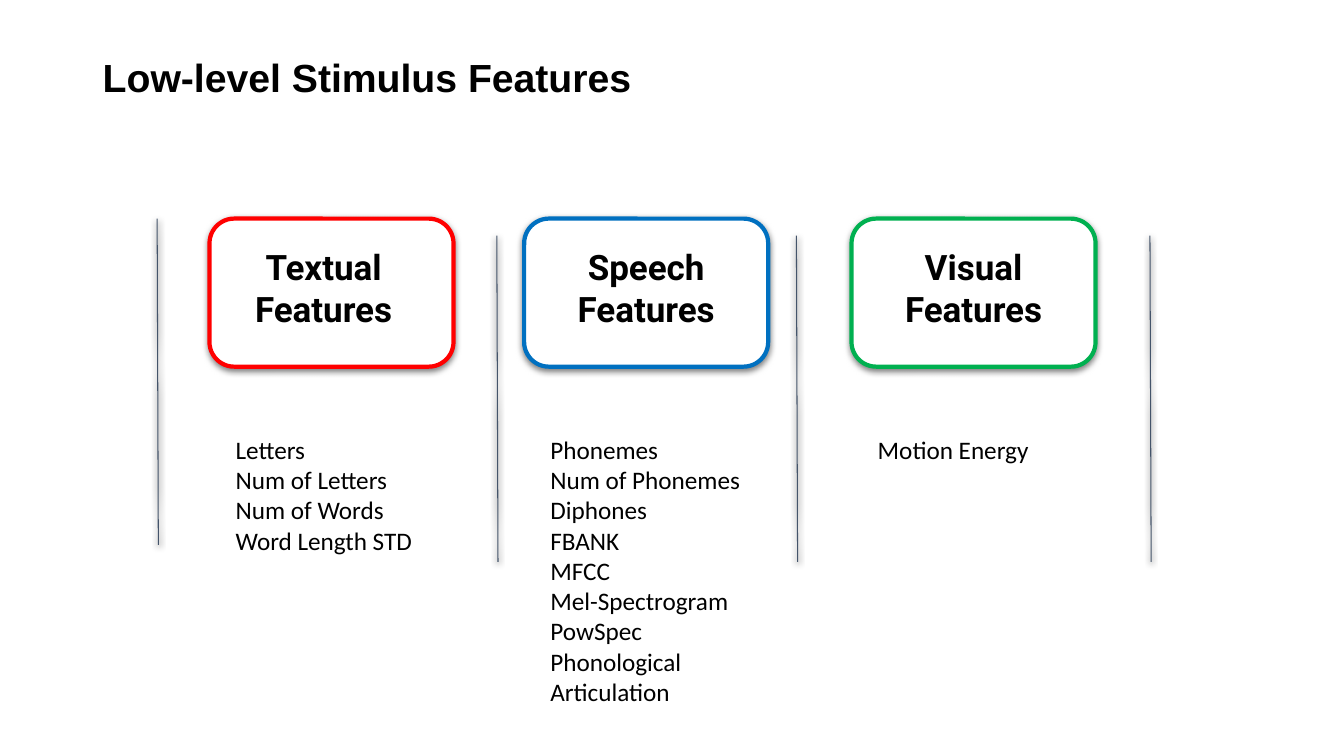
import pptx
import pptx.util
import pptx.dml.color
import pptx.enum.shapes
import pptx.enum.text
import pptx.oxml
import pptx.oxml.ns
from dataclasses import dataclass

Cm, Pt = pptx.util.Cm, pptx.util.Pt
RGB = pptx.dml.color.RGBColor.from_string
Align = pptx.enum.text.PP_ALIGN
Anchor = pptx.enum.text.MSO_ANCHOR


@dataclass
class Theme:
    ink: str = "000000"
    paper: str = "FFFFFF"
    rule: str = "44546A"
    red: str = "FF0000"
    blue: str = "0070C0"
    green: str = "00B050"
    title: int = 28
    head: int = 25
    body: int = 18


theme = Theme()
deck = pptx.Presentation()
deck.slide_width, deck.slide_height = Cm(33.87), Cm(19.05)
slide = deck.slides.add_slide(deck.slide_layouts[6])
shapes = slide.shapes


def shade(shape, alpha):
    """Give a shape a soft shadow straight below it."""
    spot = shape._element.spPr
    for old in spot.findall(pptx.oxml.ns.qn("a:effectLst")):
        spot.remove(old)
    spot.append(pptx.oxml.parse_xml(
        f'<a:effectLst {pptx.oxml.ns.nsdecls("a")}>'
        f'<a:outerShdw blurRad="{Pt(4.5)}" dist="{Pt(1.5)}" dir="5400000" rotWithShape="0">'
        f'<a:srgbClr val="{theme.ink}"><a:alpha val="{alpha * 1000}"/></a:srgbClr>'
        '</a:outerShdw></a:effectLst>'))


def write(text, left, top, width, height, font, size, bold=False, align=Align.LEFT):
    """Add a wrapped text box and return its frame."""
    box = shapes.add_textbox(Cm(left), Cm(top), Cm(width), Cm(height))
    frame = box.text_frame
    frame.word_wrap = True
    frame.text = text
    for para in frame.paragraphs:
        para.alignment = align
        for run in para.runs:
            run.font.name = font
            run.font.size = Pt(size)
            run.font.bold = bold
            run.font.color.rgb = RGB(theme.ink)
    return frame


# Title
frame = write("Low-level Stimulus Features", 2.34, 1.02, 29.21, 1.96,
              "Arial", theme.title, True)
frame.vertical_anchor = Anchor.MIDDLE
frame.paragraphs[0].line_spacing = 0.9

# Columns: card left, heading left, colour, heading, list height, items
columns = [
    (5.28, 5.08, theme.red, "Textual Features", 3.33,
     ["Letters", "Num of Letters", "Num of Words", "Word Length STD"]),
    (13.21, 13.21, theme.blue, "Speech Features", 7.19,
     ["Phonemes", "Num of Phonemes", "Diphones", "FBANK", "MFCC",
      "Mel-Spectrogram", "PowSpec", "Phonological", "Articulation"]),
    (21.46, 21.46, theme.green, "Visual Features", 1.02, ["Motion Energy"]),
]
for left, start, color, head, height, items in columns:
    card = shapes.add_shape(pptx.enum.shapes.MSO_SHAPE.ROUNDED_RECTANGLE,
                            Cm(left), Cm(5.51), Cm(6.15), Cm(3.73))
    card.fill.solid()
    card.fill.fore_color.rgb = RGB(theme.paper)
    card.line.color.rgb = RGB(color)
    card.line.width = Pt(3)
    shade(card, 50)

    frame = write(head, start, 5.94, 6.15, 2.64, "Roboto", theme.head, True, Align.CENTER)
    frame.margin_left = frame.margin_right = Cm(0.25)
    frame.margin_top = frame.margin_bottom = Cm(0.25)

    write("\n".join(items), left + 0.41, 10.82, 5.36, height, "Calibri", theme.body)

# Dividers between the columns
for left, top in [(3.96, 5.51), (12.52, 5.94), (20.07, 5.94), (28.98, 5.94)]:
    rule = shapes.add_connector(pptx.enum.shapes.MSO_CONNECTOR.STRAIGHT,
                                Cm(left), Cm(top), Cm(left + 0.03), Cm(top + 8.22))
    rule.line.color.rgb = RGB(theme.rule)
    rule.line.width = Pt(0.75)
    shade(rule, 100)

deck.save("out.pptx")
